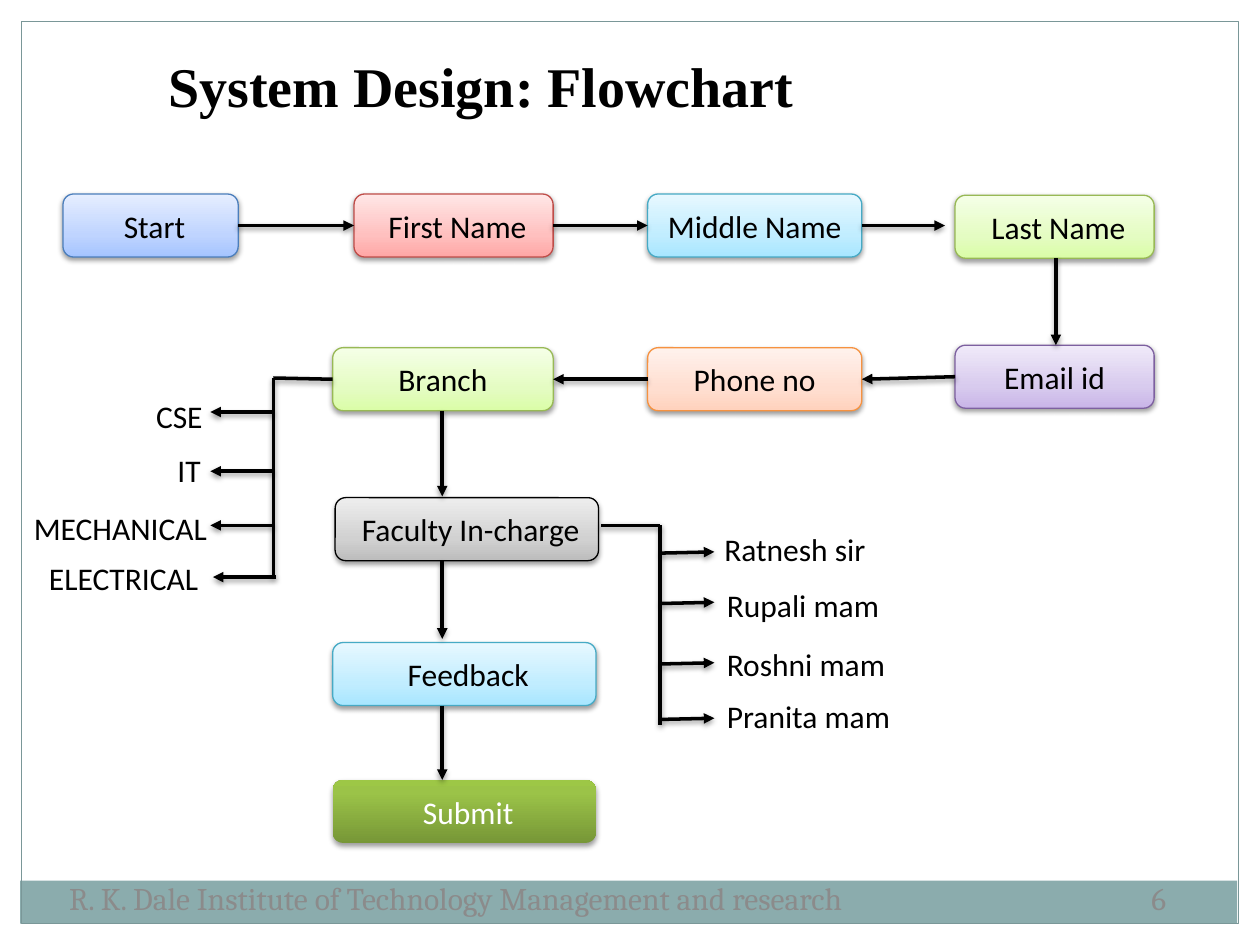
from copy import deepcopy
from dataclasses import dataclass

from lxml import etree
from pptx import Presentation
from pptx.dml.color import RGBColor
from pptx.enum.shapes import MSO_CONNECTOR, MSO_SHAPE
from pptx.enum.text import MSO_ANCHOR, MSO_AUTO_SIZE, PP_ALIGN
from pptx.oxml.ns import qn
from pptx.util import Inches, Pt

ROUNDED, RECT = MSO_SHAPE.ROUNDED_RECTANGLE, MSO_SHAPE.RECTANGLE
STRAIGHT = MSO_CONNECTOR.STRAIGHT
TOP, MIDDLE = MSO_ANCHOR.TOP, MSO_ANCHOR.MIDDLE
LEFT, CENTER = PP_ALIGN.LEFT, PP_ALIGN.CENTER
NO_FIT = MSO_AUTO_SIZE.NONE

COLORS = {"black": "000000", "white": "FFFFFF", "band": "8BACAD",
          "frame": "7A9798", "footer": "8B8B8B"}
GRADIENTS = {
    "blue": ("A4C4FF", "BFD4FF", "E6EEFF"),
    "red": ("FFA6A5", "FFC0BF", "FFE7E7"),
    "aqua": ("A7E6FF", "C1EDFF", "E7F8FF"),
    "green": ("DAFDA7", "E4FCC2", "F5FFE7"),
    "purple": ("C9B5E8", "D8CBEE", "F0EAF9"),
    "orange": ("FFD2BD", "FFDED0", "FFF2ED"),
    "gray": ("BDBDBD", "D1D1D1", "EEEEEE"),
    "olive": ("779737", "9BC348", "9DC746"),
}
OUTLINES = {"blue": "4B7EBC", "red": "BF4C48", "aqua": "46AAC5",
            "green": "98B955", "purple": "7D60A0", "orange": "F69240",
            "gray": "000000"}
BOX_HEIGHT, LABEL_HEIGHT = 0.5, 0.4


@dataclass
class Step:
    text: str
    x: float
    y: float
    w: float
    color: str
    nudge: float = 0.06


@dataclass
class Line:
    x1: float
    y1: float
    x2: float
    y2: float
    arrow: bool = True


@dataclass
class Label:
    text: str
    x: float
    y: float
    w: float


STEPS = [
    Step("Start", 0.5, 1.54, 1.39, "blue"),
    Step("First Name", 2.81, 1.54, 1.58, "red"),
    Step("Middle Name", 5.14, 1.54, 1.7, "aqua", 0),
    Step("Last Name", 7.58, 1.55, 1.58, "green"),
    Step("Email id", 7.58, 2.74, 1.58, "purple", 0),
    Step("Phone no", 5.14, 2.76, 1.7, "orange", 0),
    Step("Branch", 2.64, 2.76, 1.75, "green", 0),
    Step("Faculty In-charge", 2.66, 3.95, 2.09, "gray"),
    Step("Feedback", 2.64, 5.1, 2.09, "aqua"),
    Step("Submit", 2.64, 6.19, 2.09, "olive"),
]
FLOW = [
    Line(1.89, 1.79, 2.81, 1.79), Line(4.39, 1.79, 5.14, 1.79),
    Line(6.84, 1.79, 7.5, 1.79), Line(8.38, 2.05, 8.38, 2.74),
    Line(7.58, 2.99, 6.84, 3.01), Line(5.14, 3.01, 4.39, 3.01),
    Line(3.51, 3.26, 3.51, 3.94), Line(3.51, 4.45, 3.51, 5.07),
    Line(3.51, 5.6, 3.51, 6.19),
]
BRANCH_TREE = [Line(2.64, 3.01, 2.17, 3, False), Line(2.17, 3, 2.17, 4.58, False)]
BRANCH_TREE += [Line(2.17, y, 1.67, y) for y in (3.27, 3.74, 4.17)]
BRANCH_TREE += [Line(2.19, 4.58, 1.69, 4.58)]
FACULTY_TREE = [Line(5.24, 4.17, 4.77, 4.17, False), Line(5.24, 4.17, 5.24, 5.75, False)]
FACULTY_TREE += [Line(5.24, y, 5.67, y - 0.01) for y in (4.39, 4.79, 5.27, 5.71)]
LABELS = [
    Label("CSE", 1.14, 3.1, 0.83), Label("IT", 1.31, 3.53, 0.83),
    Label("MECHANICAL", 0.17, 3.99, 1.74), Label("ELECTRICAL", 0.29, 4.39, 1.5),
    Label("Ratnesh sir", 5.65, 4.16, 1.33), Label("Rupali mam", 5.67, 4.6, 1.5),
    Label("Roshni mam", 5.67, 5.07, 1.69), Label("Pranita mam", 5.67, 5.48, 1.69),
]


def rgb(name: str) -> RGBColor:
    return RGBColor.from_string(COLORS.get(name, name))


def set_text(sp, text: str, color: str = "black", font: str = "Calibri",
             size: int = 18, bold: bool = False, align=LEFT, anchor=MIDDLE) -> None:
    tf = sp.text_frame
    tf.text = text
    tf.word_wrap = True
    tf.auto_size = NO_FIT
    tf.vertical_anchor = anchor
    p = tf.paragraphs[0]
    p.alignment = align
    r = p.runs[0]
    r.font.name, r.font.size, r.font.bold = font, Pt(size), bold
    r.font.color.rgb = rgb(color)


def add_shadow(sp) -> None:
    effects = etree.SubElement(sp._element.spPr, qn("a:effectLst"))
    shadow = etree.SubElement(effects, qn("a:outerShdw"), blurRad=str(Pt(3.1)),
                              dist=str(Pt(1.6)), dir="5400000", rotWithShape="0")
    color = etree.SubElement(shadow, qn("a:srgbClr"), val=COLORS["black"])
    etree.SubElement(color, qn("a:alpha"), val="38000")


def fill_gradient(sp, name: str) -> None:
    sp.fill.gradient()
    sp.fill.gradient_angle = 90
    first = sp._element.spPr.find(".//" + qn("a:gs"))
    middle = deepcopy(first)
    middle.set("pos", "80000" if name == "olive" else "35000")
    first.addnext(middle)
    for stop, color in zip(sp.fill.gradient_stops, GRADIENTS[name]):
        stop.color.rgb = rgb(color)


def add_step(s, step: Step) -> None:
    sp = s.shapes.add_shape(ROUNDED, Inches(step.x), Inches(step.y),
                            Inches(step.w), Inches(BOX_HEIGHT))
    fill_gradient(sp, step.color)
    if step.color in OUTLINES:
        sp.line.color.rgb = rgb(OUTLINES[step.color])
        sp.line.width = Pt(0.75)
    else:
        sp.line.fill.background()
    add_shadow(sp)
    set_text(sp, step.text, "white" if step.color == "olive" else "black", align=CENTER)
    sp.text_frame.margin_left = Inches(0.1 + step.nudge)


def add_line(s, line: Line) -> None:
    c = s.shapes.add_connector(STRAIGHT, Inches(line.x1), Inches(line.y1),
                               Inches(line.x2), Inches(line.y2))
    c.line.color.rgb = rgb("black")
    c.line.width = Pt(2)
    if line.arrow:
        etree.SubElement(c.line._get_or_add_ln(), qn("a:tailEnd"), type="triangle")
    add_shadow(c)


def add_label(s, label: Label, height: float = LABEL_HEIGHT, **style) -> None:
    sp = s.shapes.add_textbox(Inches(label.x), Inches(label.y),
                              Inches(label.w), Inches(height))
    set_text(sp, label.text, **style)


def add_frame(s) -> None:
    band = s.shapes.add_shape(RECT, Inches(0.16), Inches(6.99), Inches(9.66), Inches(0.34))
    band.fill.solid()
    band.fill.fore_color.rgb = rgb("band")
    band.line.fill.background()
    frame = s.shapes.add_shape(RECT, Inches(0.17), Inches(0.17), Inches(9.66), Inches(7.16))
    frame.fill.background()
    frame.line.color.rgb = rgb("frame")
    frame.line.width = Pt(0.75)
    for sp in (band, frame):
        sp.shadow.inherit = False


def add_title(s) -> None:
    title = s.shapes.title
    title.left, title.top = Inches(0.5), Inches(0.25)
    title.width, title.height = Inches(9), Inches(0.67)
    set_text(title, "System Design: Flowchart", font="Times New Roman",
             size=32, bold=True, align=CENTER, anchor=TOP)
    tf = title.text_frame
    tf.margin_top, tf.margin_bottom = Inches(0.16), Inches(0)
    tf.margin_right = Inches(2.46)


def main() -> None:
    prs = Presentation()
    prs.slide_width, prs.slide_height = Inches(10), Inches(7.5)
    s = prs.slides.add_slide(prs.slide_layouts[5])
    add_frame(s)
    add_title(s)
    for label in (Label("R. K. Dale Institute of Technology Management and research",
                        0.45, 6.75, 7.3), Label("6", 9.04, 6.75, 0.64)):
        add_label(s, label, 0.75, color="footer", font="Cambria")
    for step in STEPS:
        add_step(s, step)
    for line in BRANCH_TREE + FACULTY_TREE + FLOW:
        add_line(s, line)
    for label in LABELS:
        add_label(s, label, anchor=TOP)
    prs.save("out.pptx")


if __name__ == "__main__":
    main()
